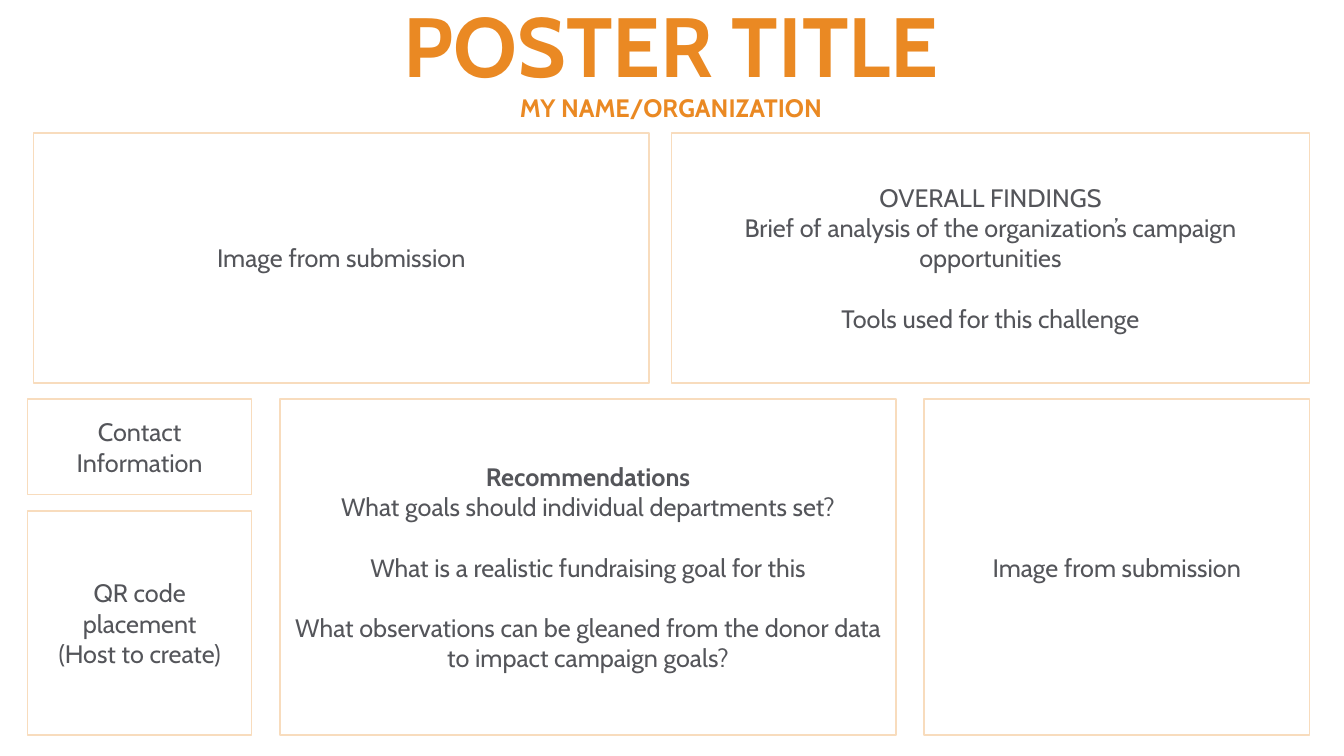
from pptx import Presentation
from pptx.dml.color import RGBColor
from pptx.enum.shapes import MSO_SHAPE
from pptx.enum.text import MSO_ANCHOR, PP_ALIGN
from pptx.util import Cm, Pt

RECTANGLE = MSO_SHAPE.RECTANGLE
TOP, MIDDLE = MSO_ANCHOR.TOP, MSO_ANCHOR.MIDDLE
CENTER = PP_ALIGN.CENTER

ORANGE, PEACH, GREY, WHITE = "EA8923", "F8DCBD", "54555A", "FFFFFF"
FONT = "Cabin"
BODY_SIZE = 18
BLANK_LINE = 21.6

TITLE_LINES = [
    ("POSTER TITLE", {"size": Pt(60), "bold": True}, 0),
    ("MY NAME/ORGANIZATION", {"size": Pt(18), "bold": True}, 0),
]
PLAIN = {"size": Pt(BODY_SIZE), "bold": False}
BOLD = {"size": Pt(BODY_SIZE), "bold": True}

SUBMISSION = [("Image from submission", PLAIN, 0)]
CONTACT = [("Contact Information", PLAIN, 0)]
QR_CODE = [("QR code placement", PLAIN, 0), ("(Host to create)", PLAIN, 0)]
FINDINGS = [
    ("OVERALL FINDINGS", PLAIN, 0),
    ("Brief of analysis of the organization’s campaign opportunities", PLAIN, 0),
    ("Tools used for this challenge", PLAIN, BLANK_LINE),
]
RECOMMENDATIONS = [
    ("Recommendations", BOLD, 0),
    ("What goals should individual departments set?", PLAIN, 0),
    ("What is a realistic fundraising goal for this", PLAIN, BLANK_LINE),
    ("What observations can be gleaned from the donor data to impact campaign goals?",
     PLAIN, BLANK_LINE),
]

SLIDE_WIDTH, SLIDE_HEIGHT = 33.87, 19.05
RIGHT_EDGE = 33.0
ROW_GAP = 0.41
UPPER_TOP, UPPER_HEIGHT = 3.35, 6.3
LOWER_TOP = UPPER_TOP + UPPER_HEIGHT + ROW_GAP
LOWER_HEIGHT = 8.46
CONTACT_HEIGHT = 2.41
QR_TOP = LOWER_TOP + CONTACT_HEIGHT + ROW_GAP
QR_HEIGHT = LOWER_TOP + LOWER_HEIGHT - QR_TOP
WIDE, NARROW = 15.52, 5.64
FINDINGS_LEFT, RESULT_LEFT = 16.92, 23.29

PANELS = [
    (QR_CODE, 0.7, QR_TOP, NARROW, QR_HEIGHT),
    (RECOMMENDATIONS, 7.06, LOWER_TOP, WIDE, LOWER_HEIGHT),
    (FINDINGS, FINDINGS_LEFT, UPPER_TOP, RIGHT_EDGE - FINDINGS_LEFT, UPPER_HEIGHT),
    (SUBMISSION, 0.84, UPPER_TOP, WIDE, UPPER_HEIGHT),
    (SUBMISSION, RESULT_LEFT, LOWER_TOP, RIGHT_EDGE - RESULT_LEFT, LOWER_HEIGHT),
    (CONTACT, 0.7, LOWER_TOP, NARROW, CONTACT_HEIGHT),
]


def rgb(value):
    return RGBColor.from_string(value)


def set_attributes(target, values):
    for name, value in values.items():
        setattr(target, name, value)


def write_lines(shape, lines, color, anchor, spacing):
    frame = shape.text_frame
    set_attributes(frame, {"word_wrap": True, "vertical_anchor": anchor})
    for index, (text, font_values, gap) in enumerate(lines):
        paragraph = frame.add_paragraph() if index else frame.paragraphs[0]
        set_attributes(paragraph, {"alignment": CENTER, "line_spacing": spacing,
                                   "space_before": Pt(gap)})
        run = paragraph.add_run()
        run.text = text
        set_attributes(run.font, {"name": FONT, **font_values})
        run.font.color.rgb = rgb(color)


def add_panel(slide, lines, *box):
    shape = slide.shapes.add_shape(RECTANGLE, *map(Cm, box))
    shape.shadow.inherit = False
    shape.fill.solid()
    shape.fill.fore_color.rgb = rgb(WHITE)
    shape.line.color.rgb = rgb(PEACH)
    shape.line.width = Pt(1)
    write_lines(shape, lines, GREY, MIDDLE, 1.0)


def main():
    presentation = Presentation()
    set_attributes(presentation, {"slide_width": Cm(SLIDE_WIDTH),
                                  "slide_height": Cm(SLIDE_HEIGHT)})
    slide = presentation.slides.add_slide(presentation.slide_layouts[6])
    title = slide.shapes.add_textbox(Cm(1.52), Cm(0), Cm(30.78), Cm(UPPER_TOP))
    write_lines(title, TITLE_LINES, ORANGE, TOP, 0.9)
    for panel in PANELS:
        add_panel(slide, *panel)
    presentation.save("out.pptx")


if __name__ == "__main__":
    main()
